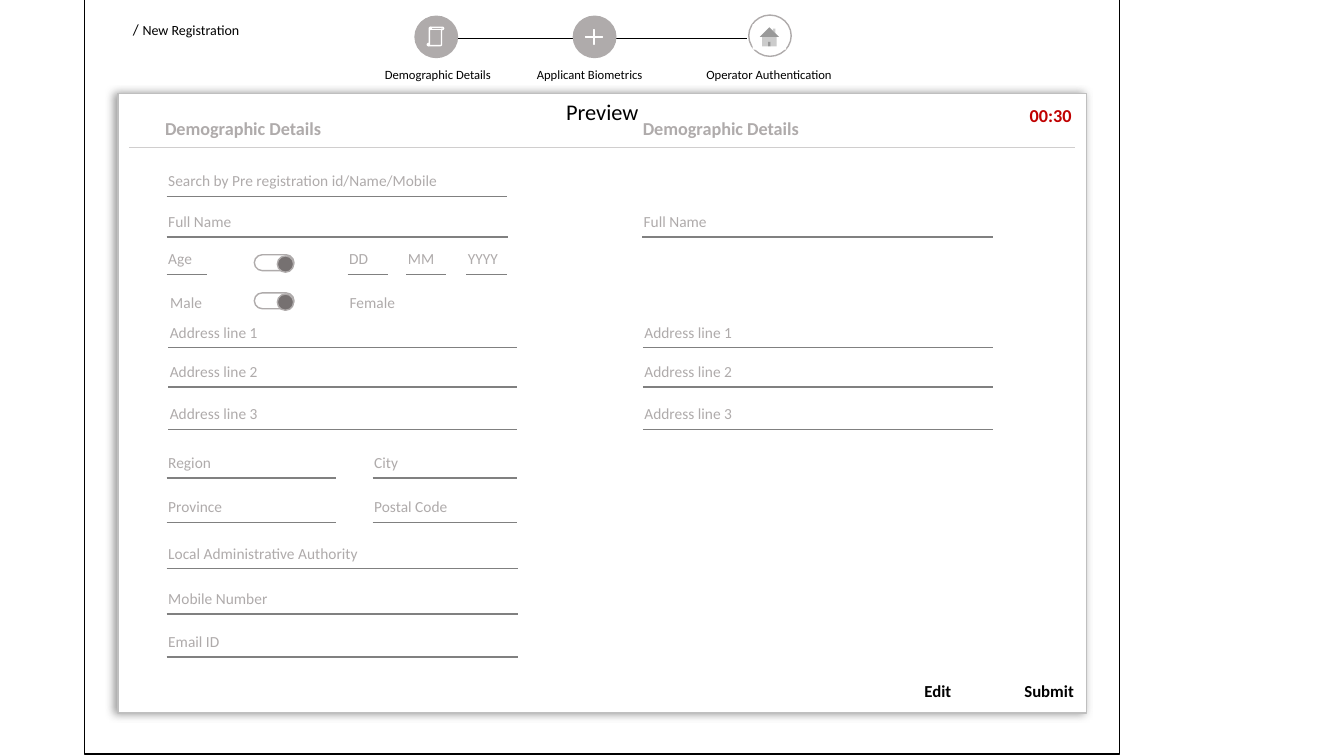
from lxml import etree
from pptx import Presentation
from pptx.dml.color import RGBColor
from pptx.enum.shapes import MSO_CONNECTOR as Link, MSO_SHAPE as Form
from pptx.enum.text import MSO_AUTO_SIZE as Fit, PP_ALIGN as Align
from pptx.oxml import parse_xml
from pptx.oxml.ns import nsdecls, qn
from pptx.util import Cm, Pt

WHITE = RGBColor(0xFF, 0xFF, 0xFF)
BLACK = RGBColor(0, 0, 0)
RED = RGBColor(0xC0, 0, 0)
GREY = RGBColor(0xAF, 0xAB, 0xAB)
KNOB = RGBColor(0x76, 0x71, 0x71)
RULE = RGBColor(0x80, 0x80, 0x80)
EDGE = RGBColor(0xBF, 0xBF, 0xBF)
PALE = RGBColor(0xD0, 0xCE, 0xCE)

deck = Presentation()
deck.slide_width, deck.slide_height = Cm(33.87), Cm(19.05)
slide = deck.slides.add_slide(deck.slide_layouts[6])
shapes = slide.shapes


def shape(form, x, y, w, h, fill=None, line=None, adj=None):
    item = shapes.add_shape(form, Cm(x), Cm(y), Cm(w), Cm(h))
    item.shadow.inherit = False
    if fill is None:
        item.fill.background()
    else:
        item.fill.solid()
        item.fill.fore_color.rgb = fill
    if line is None:
        item.line.fill.background()
    else:
        item.line.color.rgb = line
        item.line.width = Pt(1)
    if adj is not None:
        item.adjustments[0] = adj
    return item


def text(x, y, w, h, *runs, color=BLACK, bold=False, align=None, wrap=False):
    """Add a one-line text box; each run is a pair of words and point size."""
    box = shapes.add_textbox(Cm(x), Cm(y), Cm(w), Cm(h))
    frame = box.text_frame
    frame.word_wrap = wrap
    frame.auto_size = Fit.SHAPE_TO_FIT_TEXT
    para = frame.paragraphs[0]
    para.alignment = align
    for words, size in runs:
        run = para.add_run()
        run.text = words
        run.font.name = "Calibri"
        run.font.size = Pt(size)
        run.font.bold = bold
        run.font.color.rgb = color


# Card and page frame
card = shape(Form.ROUNDED_RECTANGLE, 2.97, 2.36, 24.41, 15.61, WHITE, EDGE, 0)
glow = card._element.spPr.find(qn("a:effectLst"))
glow.append(parse_xml(
    f'<a:outerShdw {nsdecls("a")} blurRad="76200" dist="25400" dir="10200000" '
    'algn="ctr" rotWithShape="0"><a:srgbClr val="808080">'
    '<a:alpha val="80000"/></a:srgbClr></a:outerShdw>'))
shape(Form.RECTANGLE, 2.13, -0.05, 26.09, 19.05, line=BLACK)

# Form fields: label, label width, line start, line end, line height
fields = [
    ("Search by Pre registration id/Name/Mobile", 7.37, 4.2, 12.78, 4.95),
    ("Full Name", 2.11, 4.2, 12.8, 5.97),
    ("Age", 1.12, 4.2, 5.21, 6.91),
    ("DD", 0.99, 8.76, 9.78, 6.91),
    ("MM", 1.17, 10.24, 11.25, 6.91),
    ("YYYY", 1.27, 11.75, 12.78, 6.91),
    ("Region", 1.6, 4.2, 8.48, 12.04),
    ("City", 1.12, 9.39, 13.03, 12.04),
    ("Province", 1.88, 4.2, 8.48, 13.16),
    ("Postal Code", 2.39, 9.39, 13.03, 13.16),
    ("Local Administrative Authority", 5.33, 4.2, 13.06, 14.33),
    ("Mobile Number", 3.02, 4.2, 13.06, 15.47),
    ("Email ID", 1.8, 4.2, 13.06, 16.56),
    ("Full Name", 2.11, 16.18, 25.02, 5.97),
]
for start, end in [(4.24, 13.04), (16.2, 25.02)]:
    for row, y in enumerate([8.76, 9.75, 10.82], 1):
        fields.append((f"Address line {row}", 2.74, start, end, y))

lines = [
    (11.53, 14.45, 0.97, BLACK, 0.5),
    (15.52, 18.82, 0.97, BLACK, 0.5),
    (3.25, 27.1, 3.71, PALE, 0.5),
]
for label, width, start, end, y in fields:
    text(start - 0.21, y - 0.75, width, 0.73, (label, 11), color=GREY)
    lines.append((start, end, y, RULE, 1))

for start, end, y, color, width in lines:
    line = shapes.add_connector(
        Link.STRAIGHT, Cm(start), Cm(y), Cm(end), Cm(y))
    line.line.color.rgb = color
    line.line.width = Pt(width)
    etree.SubElement(line._element.spPr, qn("a:effectLst"))

# Switches
for y in (6.42, 7.38):
    shape(Form.ROUNDED_RECTANGLE, 6.41, y, 1, 0.4, WHITE, GREY, 0.5)
    shape(Form.OVAL, 6.99, y + 0.03, 0.41, 0.41, KNOB, GREY)
text(4.04, 7.26, 1.32, 0.73, ("Male", 11), color=GREY)
text(8.56, 7.26, 1.68, 0.73, ("Female", 11), color=GREY)

# Progress steps
steps = [
    ("Demographic Details", 9.45, 3.33, 10.46, 0.41, GREY),
    ("Applicant Biometrics", 13.28, 3.38, 14.45, 0.41, GREY),
    ("Operator Authentication", 17.55, 3.71, 18.87, 0.38, WHITE),
]
for label, x, width, left, top, fill in steps:
    shape(Form.OVAL, left, top, 1.07, 1.04, fill, GREY)
    text(x, 1.57, width, 0.64, (label, 9), wrap=True)
shape(Form.VERTICAL_SCROLL, 10.77, 0.69, 0.41, 0.46, GREY, WHITE)
shape(Form.MATH_PLUS, 14.68, 0.69, 0.58, 0.48, WHITE, WHITE, 0.042)
shape(Form.ACTION_BUTTON_HOME, 18.97, 0.61, 0.84, 0.64, WHITE)

# Headings, timer and buttons
text(3.1, 0.36, 3.25, 0.76, ("/", 11), (" ", 12), ("New Registration", 10))
text(12.88, 2.34, 4.6, 0.94, ("Preview", 16), align=Align.CENTER, wrap=True)
for x in (3.91, 15.95):
    text(x, 2.84, 5.66, 0.81, ("Demographic Details", 13),
         color=GREY, bold=True, wrap=True)
text(25.7, 2.51, 1.65, 0.81, ("00:30", 13), color=RED, bold=True, wrap=True)
for label, x, width in [("Edit", 23.04, 1.19), ("Submit", 25.55, 1.78)]:
    text(x, 17.02, width, 0.76, (label, 12), bold=True, align=Align.CENTER)

deck.save("out.pptx")
